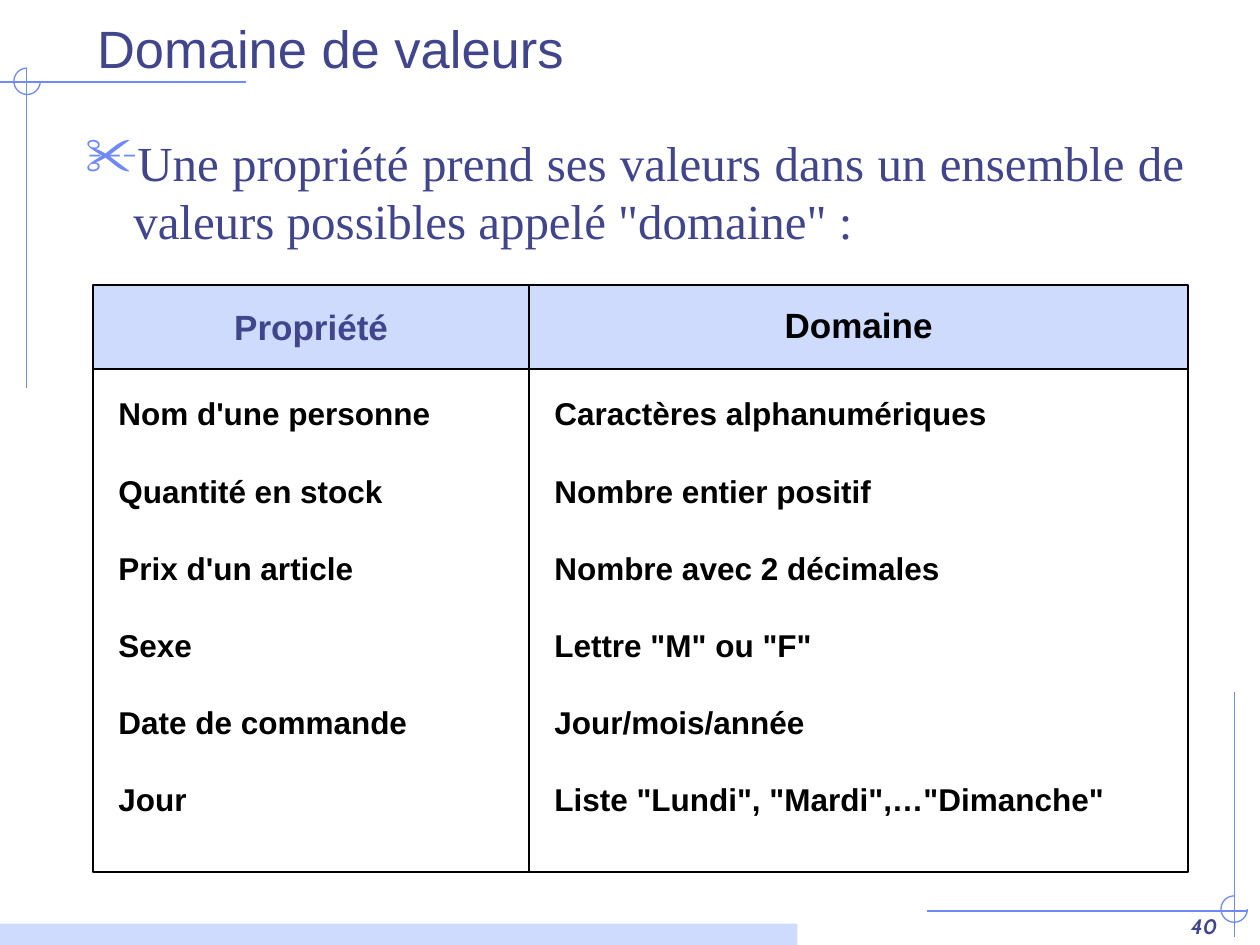
from lxml import etree
from pptx import Presentation
from pptx.dml.color import RGBColor
from pptx.enum import shapes, text
from pptx.oxml.ns import qn
from pptx.util import Inches, Pt

INDIGO = RGBColor(0x40, 0x45, 0x8C)
BLUE = RGBColor(0x6F, 0x89, 0xF7)
PALE = RGBColor(0xCF, 0xDB, 0xFD)
BLACK = RGBColor(0, 0, 0)
WHITE = RGBColor(255, 255, 255)
LEFT, CENTER = text.PP_ALIGN.LEFT, text.PP_ALIGN.CENTER


def add_run(p, words, size, color, font="Arial", bold=False, italic=False):
    r = p.add_run()
    r.text = words
    r.font.name, r.font.size = font, Pt(size)
    r.font.bold, r.font.italic = bold, italic
    r.font.color.rgb = color


def add_cell(left, top, width, height, fill, inset):
    """Add a bordered rectangle and return its text frame."""
    sp = s.shapes.add_shape(shapes.MSO_SHAPE.RECTANGLE, Inches(left), Inches(top),
                            Inches(width), Inches(height))
    sp.shadow.inherit = False
    sp.fill.solid()
    sp.fill.fore_color.rgb = fill
    sp.line.color.rgb = BLACK
    sp.line.width = Pt(1)
    tf = sp.text_frame
    tf.word_wrap = True
    tf.margin_left = tf.margin_right = Inches(inset)
    tf.margin_top = tf.margin_bottom = Inches(min(inset, 0.2) if inset > 0.1 else 0.05)
    return tf


prs = Presentation()
prs.slide_width, prs.slide_height = Inches(10), Inches(7.5)
s = prs.slides.add_slide(prs.slide_layouts[5])

# Corner ornaments: two crossing lines each
for x1, y1, x2, y2 in [(1.95, 0.65, 0, 0.65), (0.21, 0.55, 0.21, 3.08),
                       (9.8, 5.49, 9.8, 7.44), (9.9, 7.23, 7.36, 7.23)]:
    line = s.shapes.add_connector(shapes.MSO_CONNECTOR.STRAIGHT, Inches(x1), Inches(y1),
                                  Inches(x2), Inches(y2))
    line.line.color.rgb = BLUE
    line.line.width = Pt(0.75)
    etree.SubElement(line._element.spPr, qn("a:effectLst"))

# Three-quarter circles, open at the top right
for left, top in [(0.11, 0.54), (9.69, 7.11)]:
    arc = s.shapes.add_shape(shapes.MSO_SHAPE.ARC, Inches(left), Inches(top),
                             Inches(0.21), Inches(0.21))
    arc.adjustments[0] = 0
    arc.adjustments[1] = 162  # 270 degrees
    arc.shadow.inherit = False
    arc.fill.background()
    arc.line.color.rgb = BLUE
    arc.line.width = Pt(0.75)

footer_bar = s.shapes.add_shape(shapes.MSO_SHAPE.RECTANGLE, 0, Inches(7.33),
                                Inches(6.33), Inches(0.17))
footer_bar.shadow.inherit = False
footer_bar.fill.solid()
footer_bar.fill.fore_color.rgb = PALE
footer_bar.line.fill.background()

number = s.shapes.add_textbox(Inches(7.68), Inches(7), Inches(2.08), Inches(0.5))
tf = number.text_frame
tf.word_wrap = True
tf.vertical_anchor = text.MSO_ANCHOR.BOTTOM
p = tf.paragraphs[0]
p.alignment = text.PP_ALIGN.RIGHT
add_run(p, "40", 12, INDIGO, "Cabin", bold=True, italic=True)

title = s.shapes.title
title.left, title.top = Inches(0.67), Inches(0.01)
title.width, title.height = Inches(9.08), Inches(0.67)
tf = title.text_frame
tf.auto_size = text.MSO_AUTO_SIZE.NONE
tf.vertical_anchor = text.MSO_ANCHOR.BOTTOM
p = tf.paragraphs[0]
p.alignment = LEFT
add_run(p, "Domaine de valeurs", 30, INDIGO)

body = s.shapes.add_textbox(Inches(0.58), Inches(1), Inches(8.92), Inches(1.2))
tf = body.text_frame
tf.word_wrap = True
p = tf.paragraphs[0]
p.alignment = text.PP_ALIGN.JUSTIFY
pPr = p._p.get_or_add_pPr()
pPr.set("marL", str(Inches(0.38)))
pPr.set("indent", str(Inches(-0.38)))
bullet_color = etree.SubElement(pPr, qn("a:buClr"))
etree.SubElement(bullet_color, qn("a:srgbClr"), val=str(BLUE))
etree.SubElement(pPr, qn("a:buSzPct"), val="110000")
etree.SubElement(pPr, qn("a:buChar"), char="✂")
add_run(p, 'Une propriété prend ses valeurs dans un ensemble de valeurs possibles '
           'appelé "domaine" :', 28, INDIGO, "Times New Roman")

# Two columns, each a heading above its list of entries
columns = [
    (0.74, 3.46, "Propriété", INDIGO, 1.0,
     ["Nom d'une personne", "Quantité en stock", "Prix d'un article", "Sexe",
      "Date de commande", "Jour"]),
    (4.2, 5.23, "Domaine", BLACK, 0.9,
     ["Caractères alphanumériques", "Nombre entier positif", "Nombre avec 2 décimales",
      'Lettre "M" ou "F"', "Jour/mois/année", 'Liste "Lundi", "Mardi",…"Dimanche"']),
]
for left, width, heading, color, spacing, entries in columns:
    tf = add_cell(left, 2.26, width, 0.67, PALE, 0.1)
    tf.vertical_anchor = text.MSO_ANCHOR.MIDDLE
    p = tf.paragraphs[0]
    p.alignment = CENTER
    p.line_spacing = spacing
    add_run(p, heading, 20, color, bold=True)

    tf = add_cell(left, 2.93, width, 3.99, WHITE, 0.2)
    tf.vertical_anchor = text.MSO_ANCHOR.TOP
    for i, entry in enumerate(entries):
        p = tf.add_paragraph() if i else tf.paragraphs[0]
        p.alignment = LEFT
        if i:
            p.space_before = Pt(22.5)
        add_run(p, entry, 18, BLACK, bold=True)

prs.save("out.pptx")
